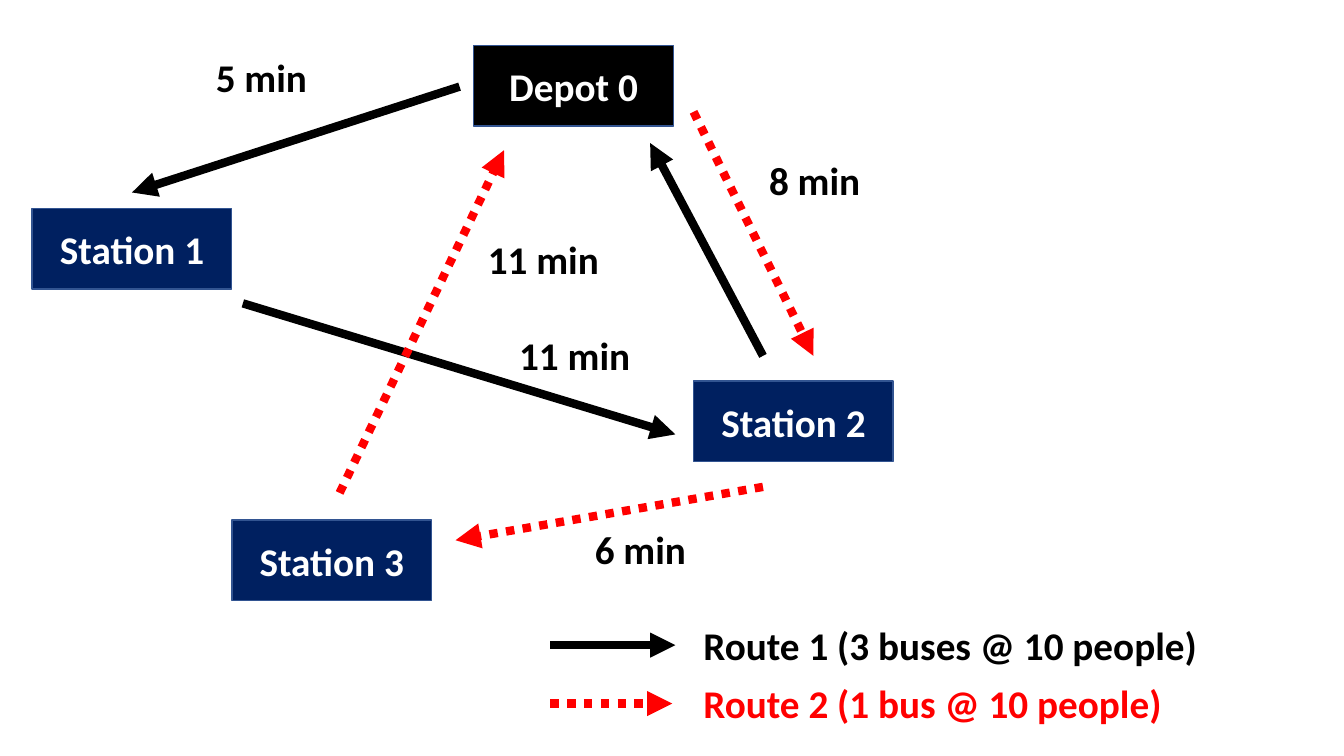
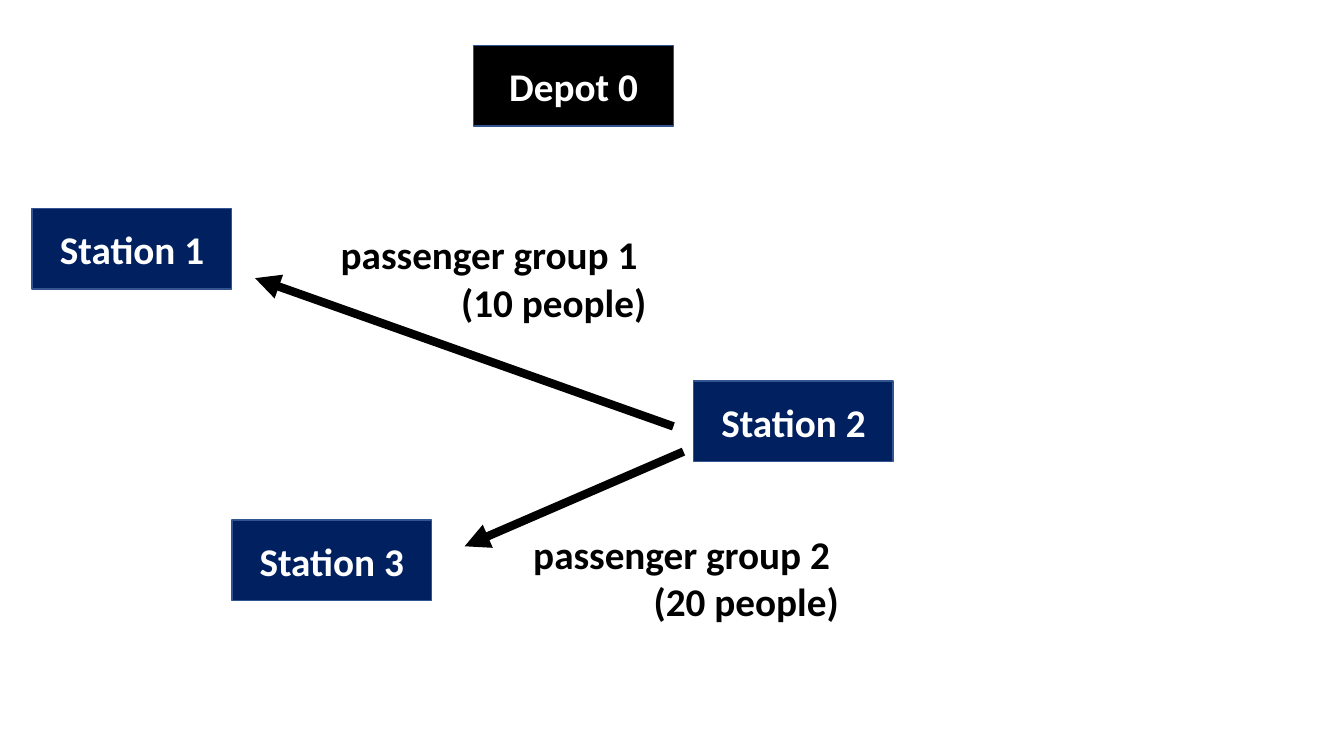
"""Build two slides: a bus network with its routes, and its passenger groups."""
import lxml.etree
import pptx
import pptx.dml.color
import pptx.enum.shapes
import pptx.enum.text
import pptx.oxml.ns
import pptx.util

Pt = pptx.util.Pt
qn = pptx.oxml.ns.qn
RGB = pptx.dml.color.RGBColor.from_string
ALIGN = pptx.enum.text.PP_ALIGN

COLORS = {
    "depot": "000000",
    "station": "002060",
    "border": "325491",
    "stop_text": "FFFFFF",
    "route_1": "000000",
    "route_2": "FF0000",
    "label": "000000",
}
STOP_WIDTH, STOP_HEIGHT = 142.6, 57.6
LINE_HEIGHT = 41
STOPS = [
    ("Station 1", 23, 149, "station"),
    ("Station 2", 495.4, 272.2, "station"),
    ("Station 3", 165.6, 371.5, "station"),
    ("Depot 0", 338.4, 32.4, "depot"),
]
ROUTE_LEGS = [
    ("route_1", (328.3, 61.9), (94.3, 137.5)),
    ("route_1", (173.5, 216.7), (482.4, 310.3)),
    ("route_1", (545, 254.2), (464.4, 102.2)),
    ("route_1", (393.1, 460.8), (482.4, 460.8)),
    ("route_2", (495.4, 79.9), (581, 254.2)),
    ("route_2", (545, 347.8), (325.4, 385.9)),
    ("route_2", (242.6, 352.1), (360, 107.3)),
    ("route_2", (393.1, 502.6), (480.2, 502.6)),
]
ROUTE_LABELS = [
    ("5 min", 146.2, 34.6, 81, ALIGN.CENTER, "label"),
    ("11 min", 340.6, 164.2, 95, ALIGN.CENTER, "label"),
    ("11 min", 363, 233.3, 95, ALIGN.CENTER, "label"),
    ("8 min", 541.4, 108, 81, ALIGN.CENTER, "label"),
    ("6 min", 416.9, 371.5, 81, ALIGN.CENTER, "label"),
    ("Route 1 (3 buses @ 10 people)", 495.4, 440.6, 370.8, ALIGN.LEFT, "route_1"),
    ("Route 2 (1 bus @ 10 people)", 495.4, 481.7, 345.6, ALIGN.LEFT, "route_2"),
]
GROUP_LEGS = [
    ("route_1", (481, 304.6), (182.2, 198.7)),
    ("route_1", (488.2, 322.6), (331.9, 390.2)),
]
GROUP_LABELS = [
    ("passenger group 1 \n(10 people)", 233.3, 161.3, 235.4, ALIGN.RIGHT, "label"),
    ("passenger group 2 \n(20 people)", 370.8, 375.1, 235.4, ALIGN.RIGHT, "label"),
]


def write(frame, text, align, color):
    frame.text = text
    for paragraph in frame.paragraphs:
        paragraph.alignment = align
        for run in paragraph.runs:
            run.font.name = "Calibri"
            run.font.size = Pt(28)
            run.font.bold = True
            run.font.color.rgb = RGB(COLORS[color])


deck = pptx.Presentation()
deck.slide_width, deck.slide_height = Pt(960), Pt(540)

for legs, labels in [(ROUTE_LEGS, ROUTE_LABELS), (GROUP_LEGS, GROUP_LABELS)]:
    slide = deck.slides.add_slide(deck.slide_layouts[6])

    for name, left, top, kind in STOPS:
        stop = slide.shapes.add_shape(
            pptx.enum.shapes.MSO_SHAPE.RECTANGLE,
            Pt(left), Pt(top), Pt(STOP_WIDTH), Pt(STOP_HEIGHT))
        stop.shadow.inherit = False
        stop.fill.solid()
        stop.fill.fore_color.rgb = RGB(COLORS[kind])
        stop.line.color.rgb = RGB(COLORS["border"])
        stop.line.width = Pt(1)
        stop.text_frame.vertical_anchor = pptx.enum.text.MSO_ANCHOR.MIDDLE
        write(stop.text_frame, name, ALIGN.CENTER, "stop_text")

    for route, start, end in legs:
        leg = slide.shapes.add_connector(
            pptx.enum.shapes.MSO_CONNECTOR.STRAIGHT, *map(Pt, start + end))
        leg.line.color.rgb = RGB(COLORS[route])
        leg.line.width = Pt(6)
        outline = leg.get_or_add_ln()
        if route == "route_2":
            lxml.etree.SubElement(outline, qn("a:prstDash"), val="sysDot")
        lxml.etree.SubElement(outline, qn("a:tailEnd"), type="triangle")
        lxml.etree.SubElement(outline.getparent(), qn("a:effectLst"))

    for text, left, top, width, align, color in labels:
        height = LINE_HEIGHT + 34 * text.count("\n")
        label = slide.shapes.add_textbox(Pt(left), Pt(top), Pt(width), Pt(height))
        label.text_frame.word_wrap = False
        label.text_frame.auto_size = pptx.enum.text.MSO_AUTO_SIZE.SHAPE_TO_FIT_TEXT
        write(label.text_frame, text, align, color)

deck.save("out.pptx")
